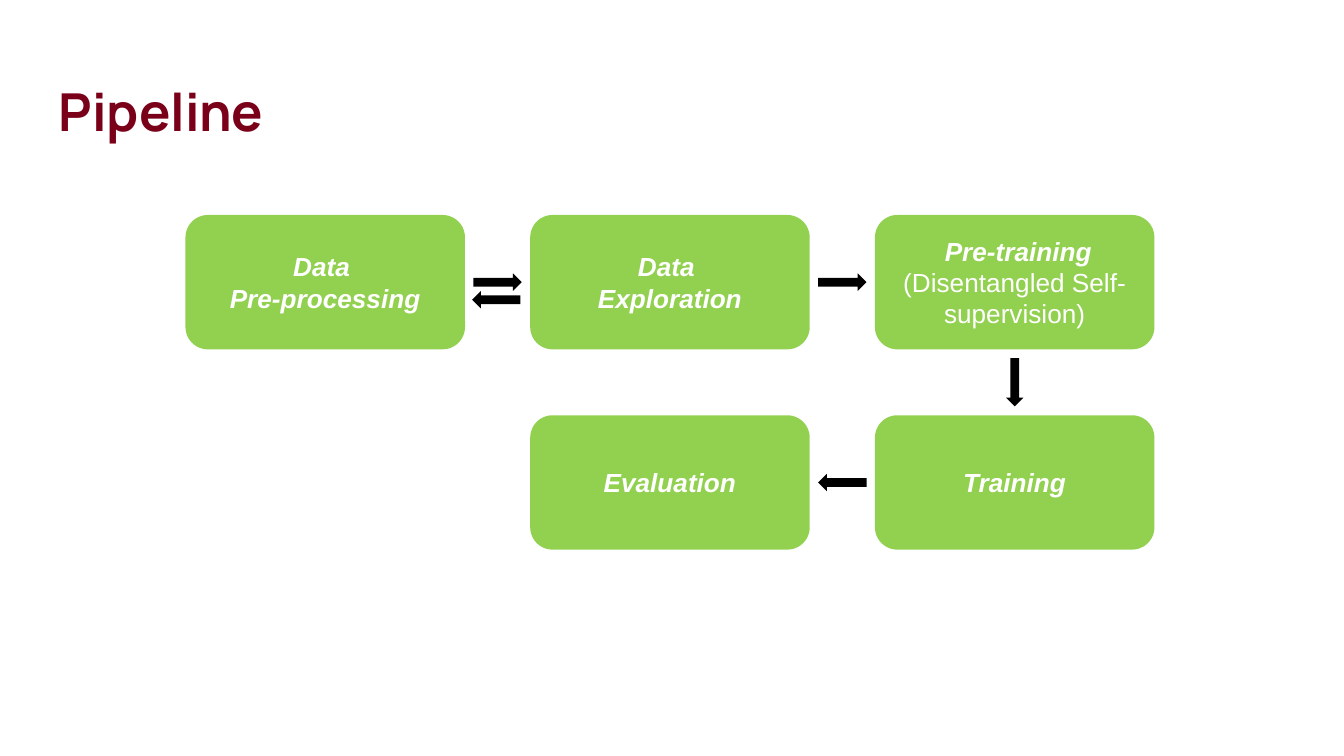
from pptx import Presentation
from pptx.dml.color import RGBColor
from pptx.enum.shapes import MSO_SHAPE
from pptx.enum.text import MSO_ANCHOR, PP_ALIGN
from pptx.util import Inches, Pt

ROUNDED_BOX = MSO_SHAPE.ROUNDED_RECTANGLE
RIGHT_ARROW = MSO_SHAPE.RIGHT_ARROW
MIDDLE, TOP = MSO_ANCHOR.MIDDLE, MSO_ANCHOR.TOP
CENTER = PP_ALIGN.CENTER

MAROON, GREEN, WHITE, BLACK = "7A0019", "92D050", "FFFFFF", "000000"

SLIDE_WIDTH = 10
STEP_WIDTH, STEP_HEIGHT = 2.08, 1
ARROW_LENGTH, ARROW_THICKNESS = 0.36, 0.13

# Column, row and lines of each step; a line is its text and whether it is emphasised
STEPS = [
    (0, 0, [("Data ", True), ("Pre-processing", True)]),
    (1, 0, [("Data ", True), ("Exploration", True)]),
    (2, 0, [(" Pre-training", True), ("(Disentangled Self-supervision)", False)]),
    (2, 1, [("Training", True)]),
    (1, 1, [("Evaluation", True)]),
]


def color(hex_string):
    return RGBColor.from_string(hex_string)


def add_run(paragraph, text, font_name, size, font_color, bold=False, italic=False):
    run = paragraph.add_run()
    run.text = text
    font = run.font
    font.name, font.size = font_name, Pt(size)
    font.bold, font.italic = bold, italic
    font.color.rgb = color(font_color)


def add_filled_shape(slide, kind, left, top, width, height, fill):
    shape = slide.shapes.add_shape(
        kind, Inches(left), Inches(top), Inches(width), Inches(height))
    shape.shadow.inherit = False
    shape.fill.solid()
    shape.fill.fore_color.rgb = color(fill)
    shape.line.fill.background()
    return shape


def add_title(slide, left, top, width, height):
    title = slide.shapes.add_textbox(
        Inches(left), Inches(top), Inches(width), Inches(height))
    frame = title.text_frame
    frame.word_wrap = True
    frame.vertical_anchor = TOP
    frame.margin_left = frame.margin_right = Inches(0.1)
    frame.margin_top = frame.margin_bottom = Inches(0.1)
    add_run(frame.paragraphs[0], "Pipeline", "Manrope", 28, MAROON, bold=True)


def add_step(slide, left, top, lines):
    step = add_filled_shape(
        slide, ROUNDED_BOX, left, top, STEP_WIDTH, STEP_HEIGHT, GREEN)
    frame = step.text_frame
    frame.word_wrap = True
    frame.vertical_anchor = MIDDLE
    paragraph = frame.paragraphs[0]
    paragraph.alignment = CENTER
    for index, (text, emphasised) in enumerate(lines):
        if index:
            paragraph.add_line_break()
        add_run(paragraph, text, "Arial", 14, WHITE, emphasised, emphasised)


def add_arrow(slide, center_x, center_y, rotation=0):
    arrow = add_filled_shape(
        slide, RIGHT_ARROW, center_x - ARROW_LENGTH / 2,
        center_y - ARROW_THICKNESS / 2, ARROW_LENGTH, ARROW_THICKNESS, BLACK)
    arrow.rotation = rotation


def add_pipeline(slide, left, top, width, height):
    """Place the steps on a grid of three columns and two rows, with arrows in its gaps."""
    column_pitch = (width - STEP_WIDTH) / 2
    row_pitch = height - STEP_HEIGHT
    for column, row, lines in STEPS:
        add_step(slide, left + column * column_pitch, top + row * row_pitch, lines)

    first_gap = left + (column_pitch + STEP_WIDTH) / 2
    second_gap = first_gap + column_pitch
    row_gap = top + (row_pitch + STEP_HEIGHT) / 2
    first_row = top + STEP_HEIGHT / 2
    last_column = left + width - STEP_WIDTH / 2
    add_arrow(slide, first_gap, first_row)
    add_arrow(slide, second_gap, first_row)
    add_arrow(slide, second_gap, first_row + row_pitch, 180)
    add_arrow(slide, last_column, row_gap, 90)
    add_arrow(slide, first_gap - 0.01, first_row + ARROW_THICKNESS, 180)


def main():
    presentation = Presentation()
    presentation.slide_width = Inches(SLIDE_WIDTH)
    presentation.slide_height = Inches(SLIDE_WIDTH * 9 / 16)
    slide = presentation.slides.add_slide(presentation.slide_layouts[6])
    add_title(slide, 0.34, 0.49, 9.32, 0.63)
    add_pipeline(slide, 1.38, 1.6, 7.21, 2.49)
    presentation.save("out.pptx")


if __name__ == "__main__":
    main()
